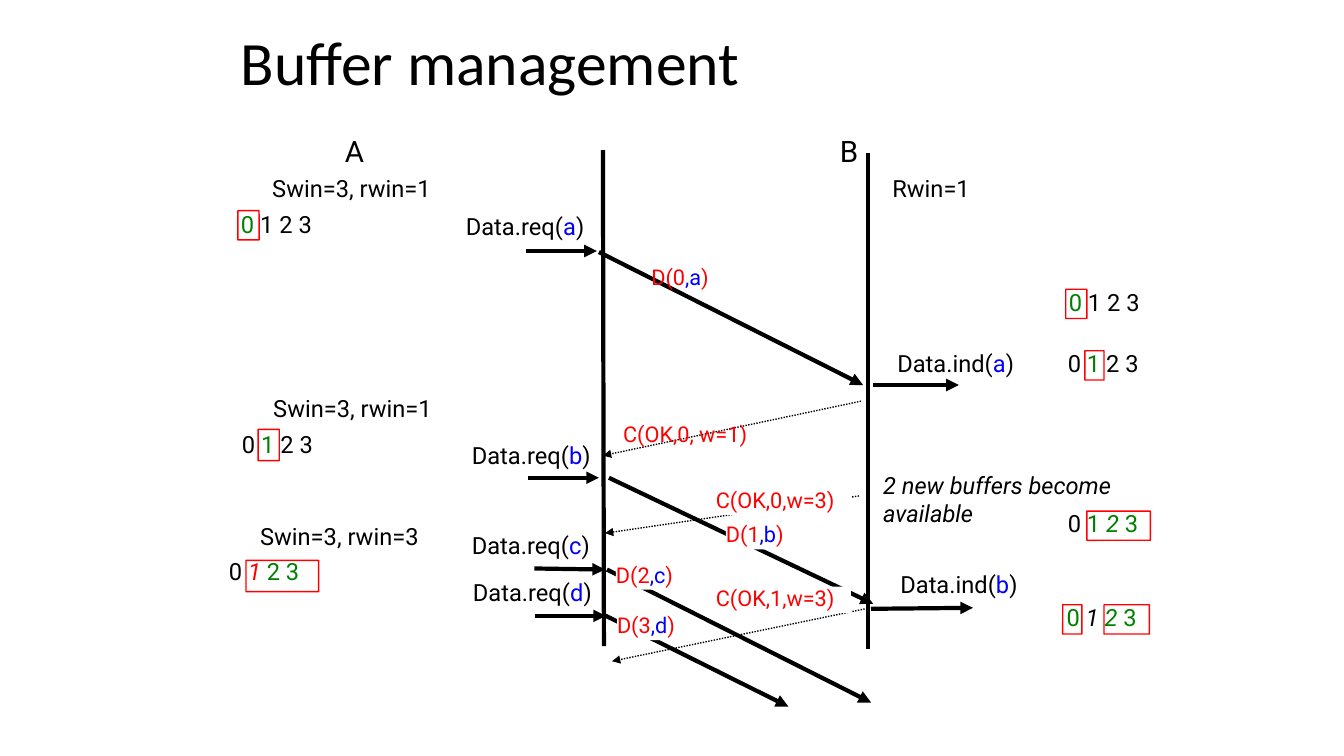
from dataclasses import dataclass

from lxml.etree import SubElement
from pptx import Presentation
from pptx.dml.color import RGBColor
from pptx.enum.dml import MSO_LINE
from pptx.enum.shapes import MSO_CONNECTOR, MSO_SHAPE
from pptx.enum.text import MSO_ANCHOR, PP_ALIGN
from pptx.oxml.ns import qn
from pptx.util import Emu, Pt


@dataclass(frozen=True)
class Theme:
    black: RGBColor = RGBColor(0, 0, 0)
    white: RGBColor = RGBColor(255, 255, 255)
    red: RGBColor = RGBColor(255, 0, 0)
    green: RGBColor = RGBColor(0, 128, 0)
    blue: RGBColor = RGBColor(0, 0, 255)
    title_font: str = "Calibri"
    body_font: str = "Roboto"
    title_size: float = 44
    host_size: float = 21.1
    body_size: float = 16.9
    message_size: float = 15.5
    thick: float = 3
    thin: float = 1
    spacing: float = 0.84


THEME = Theme()
BLACK, RED, GREEN, BLUE = THEME.black, THEME.red, THEME.green, THEME.blue
PX = 9144  # 100 px to the inch

# Content; all lengths in px
TITLE = "Buffer management"
TITLE_BOX = (229, 0, 874, 132)
HOSTS = [("A", 342, 137), ("B", 833, 137)]
TIMELINES = [(598, 149, 599, 641), (861, 152, 861, 644)]

DATA_ARROWS = [
    (866, 382, 951, 382), (594, 250, 856, 382), (522, 249, 592, 249),
    (602, 565, 864, 697), (530, 564, 600, 565),
    (524, 474, 594, 474), (864, 604, 965, 603), (604, 474, 866, 599),
    (531, 611, 601, 611), (599, 610, 782, 701),
]
CONTROL_ARROWS = [(854, 398, 598, 452), (852, 492, 600, 529), (863, 603, 607, 656)]

# primitive, payload, left, top
PRIMITIVES = [
    ("Data.req", "a", 462, 215), ("Data.ind", "a", 890, 350),
    ("Data.req", "b", 468, 442), ("Data.ind", "b", 893, 570),
    ("Data.req", "c", 468, 531), ("Data.req", "d", 469, 578),
]
# sequence number, payload, left, top, hides the arrow behind it
DATA_MESSAGES = [
    (0, "a", 646, 264, False), (1, "b", 720, 519, True),
    (2, "c", 611, 559, True), (3, "d", 612, 609, True),
]
# text, left, top, width, hides the arrow behind it
CONTROL_MESSAGES = [
    ("C(OK,0, w=1)", 618, 419, 132, False),
    ("C(OK,0,w=3)", 710, 485, 134, True),
    ("C(OK,1,w=3)", 710, 582, 134, True),
]
# text, left, top, width
WINDOW_SIZES = [
    ("Swin=3, rwin=1", 270, 177, 161), ("Swin=3, rwin=1", 271, 395, 161),
    ("Swin=3, rwin=3", 258, 522, 161), ("Rwin=1", 885, 177, 79),
]
# left, top, runs of (text, colour, italic), frames of (left, top, width, height)
WINDOWS = [
    (239, 213, [("0 ", GREEN, False), ("1 2 3", BLACK, False)], [(236, 209, 21, 29)]),
    (240, 431, [("0", BLACK, False), (" 1", GREEN, False), (" 2 3", BLACK, False)],
     [(256, 426, 21, 31)]),
    (227, 557, [("0 ", BLACK, False), ("1 ", RED, True), ("2 3", GREEN, False)],
     [(244, 556, 72, 31)]),
    (1060, 290, [("0 ", GREEN, False), ("1 2 3", BLACK, False)], [(1057, 287, 21, 29)]),
    (1059, 350, [("0", BLACK, False), (" 1 ", GREEN, False), ("2 3", BLACK, False)],
     [(1076, 348, 19, 29)]),
    (1059, 509, [("0", BLACK, False), (" 1 ", GREEN, False), ("2", GREEN, True),
                 (" 3", GREEN, False)], [(1078, 507, 63, 29)]),
    (1058, 602, [("0 ", GREEN, False), ("1", BLACK, True), (" 2", GREEN, True),
                 (" 3", GREEN, False)], [(1054, 600, 19, 29), (1095, 600, 45, 29)]),
]
NOTE = "2 new buffers become available"
NOTE_BOX = (876, 468, 287, 57)


def scaled(lengths):
    return [Emu(length * PX) for length in lengths]


def add_text(slide, box, runs, size, spacing=THEME.spacing, wrap=False, filled=False):
    """Add one paragraph of (text, colour, italic) runs without margins."""
    shape = slide.shapes.add_textbox(*scaled(box))
    if filled:
        shape.fill.solid()
        shape.fill.fore_color.rgb = THEME.white
    frame = shape.text_frame
    frame.word_wrap = wrap
    frame.vertical_anchor = MSO_ANCHOR.MIDDLE
    frame.margin_left = frame.margin_right = frame.margin_top = frame.margin_bottom = 0
    paragraph = frame.paragraphs[0]
    paragraph.line_spacing = spacing
    paragraph.font.name = THEME.body_font
    paragraph.font.size = Pt(size)
    for text, color, italic in runs:
        run = paragraph.add_run()
        run.text = text
        run.font.color.rgb = color
        run.font.italic = italic


def add_line(slide, ends, width, arrow=True, dotted=False):
    connector = slide.shapes.add_connector(MSO_CONNECTOR.STRAIGHT, *scaled(ends))
    connector.line.width = Pt(width)
    connector.line.color.rgb = BLACK
    if dotted:
        connector.line.dash_style = MSO_LINE.ROUND_DOT
    properties = connector.element.spPr
    if arrow:
        SubElement(properties.find(qn("a:ln")), qn("a:tailEnd"), type="triangle")
    SubElement(properties, qn("a:effectLst"))


def add_frame(slide, box):
    shape = slide.shapes.add_shape(MSO_SHAPE.ROUNDED_RECTANGLE, *scaled(box))
    shape.adjustments[0] = 0.01
    shape.shadow.inherit = False
    shape.fill.background()
    shape.line.color.rgb = RED
    shape.line.width = Pt(THEME.thin)


def add_title(slide):
    title = slide.shapes.title
    title.left, title.top, title.width, title.height = scaled(TITLE_BOX)
    title.text_frame.text = TITLE
    title.text_frame.vertical_anchor = MSO_ANCHOR.MIDDLE
    paragraph = title.text_frame.paragraphs[0]
    paragraph.alignment = PP_ALIGN.LEFT
    paragraph.line_spacing = THEME.spacing
    paragraph.font.name = THEME.title_font
    paragraph.font.size = Pt(THEME.title_size)
    paragraph.font.color.rgb = BLACK


def add_exchange(slide):
    for ends in TIMELINES:
        add_line(slide, ends, THEME.thick, arrow=False)
    for ends in DATA_ARROWS:
        add_line(slide, ends, THEME.thick)
    for ends in CONTROL_ARROWS:
        add_line(slide, ends, THEME.thin, dotted=True)
    for name, payload, left, top in PRIMITIVES:
        runs = [(f"{name}(", BLACK, False), (payload, BLUE, False), (")", BLACK, False)]
        add_text(slide, (left, top, 118, 24), runs, THEME.body_size)
    for number, payload, left, top, filled in DATA_MESSAGES:
        runs = [(f"D({number}", RED, False), (f",{payload}", BLUE, False), (")", RED, False)]
        add_text(slide, (left, top, 63, 26), runs, THEME.message_size, filled=filled)
    for text, left, top, width, filled in CONTROL_MESSAGES:
        add_text(slide, (left, top, width, 26), [(text, RED, False)],
                 THEME.message_size, filled=filled)


def add_hosts_and_windows(slide):
    for name, left, top in HOSTS:
        add_text(slide, (left, top, 19, 31), [(name, BLACK, False)], THEME.host_size)
    for text, left, top, width in WINDOW_SIZES:
        add_text(slide, (left, top, width, 24), [(text, BLACK, False)], THEME.body_size)
    for left, top, runs, frames in WINDOWS:
        add_text(slide, (left, top, 78, 24), runs, THEME.body_size)
        for box in frames:
            add_frame(slide, box)
    add_text(slide, NOTE_BOX, [(NOTE, BLACK, True)], THEME.body_size,
             spacing=0.97, wrap=True)


def main():
    presentation = Presentation()
    presentation.slide_width, presentation.slide_height = scaled((1333, 750))
    slide = presentation.slides.add_slide(presentation.slide_layouts[5])
    add_title(slide)
    add_exchange(slide)
    add_hosts_and_windows(slide)
    presentation.save("out.pptx")


if __name__ == "__main__":
    main()
